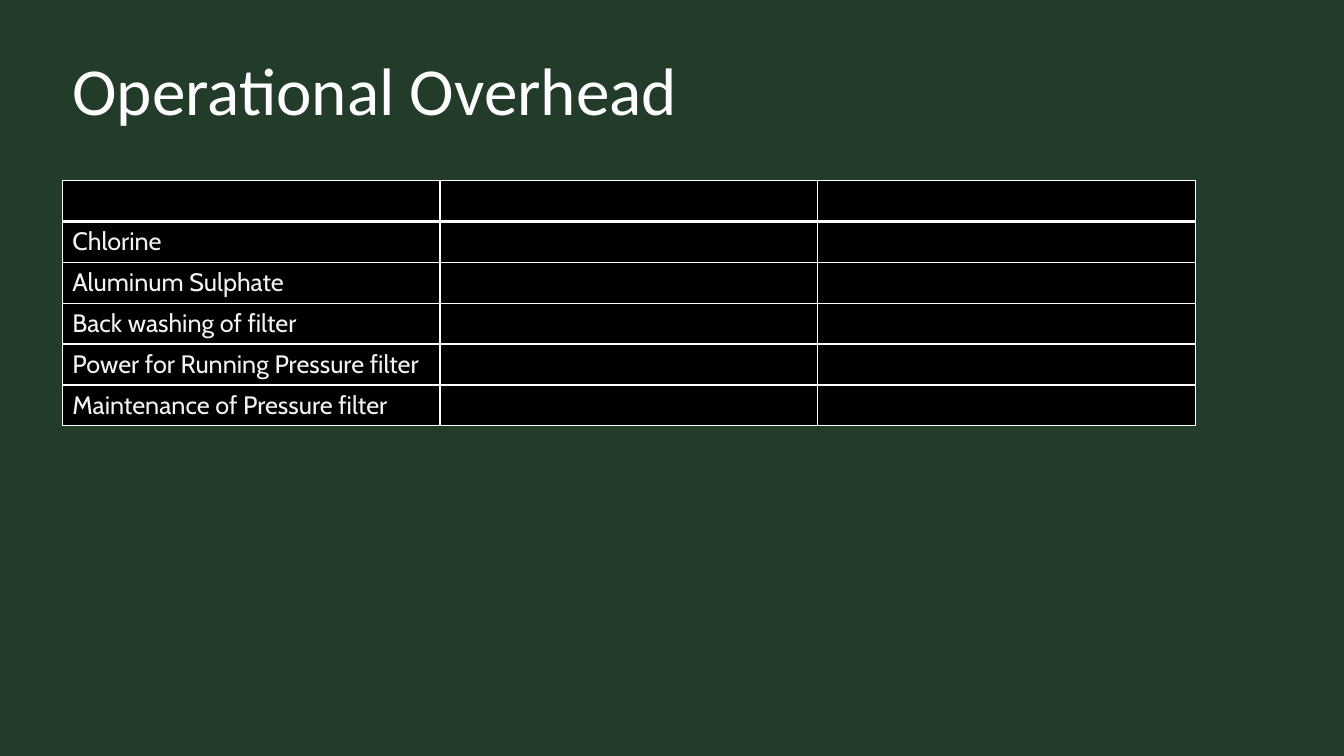
from dataclasses import dataclass

from pptx import Presentation
from pptx.dml.color import RGBColor as Color
from pptx.enum.text import MSO_ANCHOR as Anchor, PP_ALIGN as Align
from pptx.oxml.ns import qn
from pptx.util import Cm, Pt
from lxml.etree import SubElement

# Content
TITLE = "Operational Overhead"
HEADER = ("", "", "")
COST_ROWS = [
    ("Chlorine", "", ""),
    ("Aluminum Sulphate", "", ""),
    ("Back washing of filter", "", ""),
    ("Power for Running Pressure filter", "", ""),
    ("Maintenance of Pressure filter", "", ""),
]


@dataclass(frozen=True)
class Theme:
    background: str = "223C29"
    title: str = "FFFFFF"
    cell_fill: str = "000000"
    cell_text: str = "F2F2F2"
    border: str = "FFFFFF"
    title_font: str = "Calibri"
    cell_font: str = "Cabin"
    title_size: int = 48
    cell_size: int = 18
    thin: int = 1
    thick: int = 3


THEME = Theme()

# Layout
LEFT = Cm(1.57)
COLUMN_WIDTH, ROW_HEIGHT = Cm(9.52), Cm(1.03)


def write_text(frame, text, *, font, size, color, line_spacing=None):
    paragraph = frame.paragraphs[0]
    paragraph.alignment = Align.LEFT
    paragraph.line_spacing = line_spacing
    run = paragraph.add_run()
    run.text = text
    run.font.name = font
    run.font.size = Pt(size)
    run.font.color.rgb = Color.from_string(color)


def set_borders(cell, **widths):
    """Draw the cell's sides; the fill must be set afterwards."""
    properties = cell._tc.get_or_add_tcPr()
    for side in ("L", "R", "T", "B"):
        width = Pt(widths.get(side, THEME.thin))
        line = SubElement(properties, qn(f"a:ln{side}"), w=str(width))
        fill = SubElement(line, qn("a:solidFill"))
        SubElement(fill, qn("a:srgbClr"), val=THEME.border)


def add_title(slide):
    title = slide.shapes.title
    title.left, title.top = LEFT, Cm(1.32)
    title.width, title.height = Cm(30.76), Cm(2.72)
    title.text_frame.word_wrap = True
    title.text_frame.vertical_anchor = Anchor.TOP
    write_text(title.text_frame, TITLE, font=THEME.title_font,
               size=THEME.title_size, color=THEME.title, line_spacing=0.9)


def add_cost_table(slide):
    rows = [HEADER, *COST_ROWS]
    table = slide.shapes.add_table(
        len(rows), len(HEADER), LEFT, Cm(4.55),
        COLUMN_WIDTH * len(HEADER), ROW_HEIGHT * len(rows)).table
    for column in table.columns:
        column.width = COLUMN_WIDTH
    for row_index, texts in enumerate(rows):
        table.rows[row_index].height = ROW_HEIGHT
        for column_index, text in enumerate(texts):
            cell = table.cell(row_index, column_index)
            # The header is set off by a thick rule
            set_borders(cell,
                        T=THEME.thick if row_index == 1 else THEME.thin,
                        B=THEME.thick if row_index == 0 else THEME.thin)
            cell.fill.solid()
            cell.fill.fore_color.rgb = Color.from_string(THEME.cell_fill)
            if text:
                write_text(cell.text_frame, text, font=THEME.cell_font,
                           size=THEME.cell_size, color=THEME.cell_text)


def main():
    presentation = Presentation()
    presentation.slide_width, presentation.slide_height = Cm(33.87), Cm(19.05)
    slide = presentation.slides.add_slide(presentation.slide_layouts[5])

    # Background
    slide.background.fill.solid()
    slide.background.fill.fore_color.rgb = Color.from_string(THEME.background)

    # Title and table
    add_title(slide)
    add_cost_table(slide)
    presentation.save("out.pptx")


if __name__ == "__main__":
    main()
